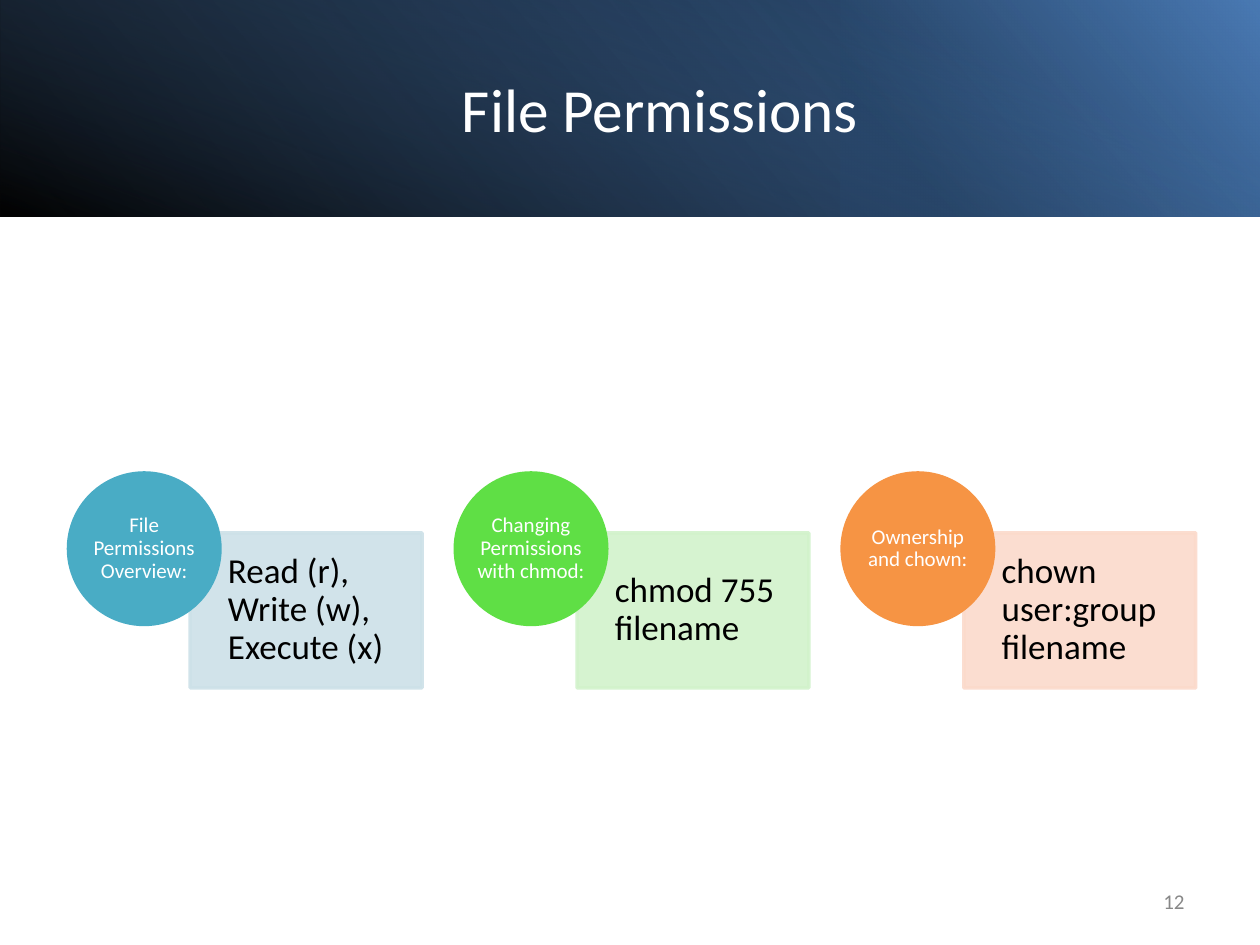
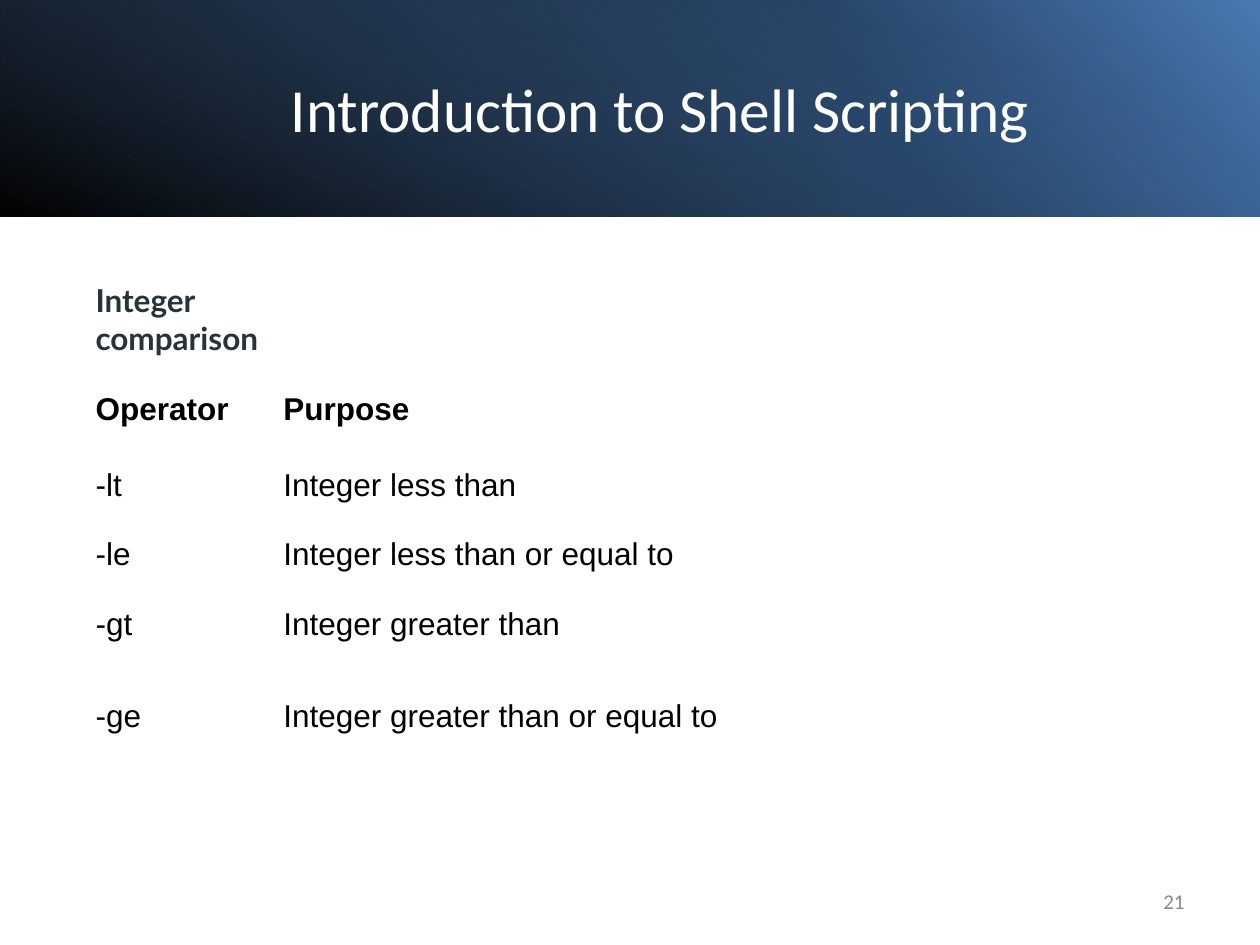
from lxml.etree import SubElement
from pptx import Presentation
from pptx.dml.color import RGBColor
from pptx.enum.shapes import MSO_SHAPE
from pptx.enum.text import MSO_ANCHOR, PP_ALIGN
from pptx.oxml.ns import qn
from pptx.util import Inches, Pt

# Shared colours
WHITE = RGBColor(0xFF, 0xFF, 0xFF)
BLACK = RGBColor(0x00, 0x00, 0x00)
GREY = RGBColor(0x88, 0x88, 0x88)
SLATE = RGBColor(0x27, 0x32, 0x39)
NAVY = RGBColor(0x24, 0x40, 0x61)
STEEL = RGBColor(0x36, 0x60, 0x92)
BLUE = RGBColor(0x4F, 0x81, 0xBD)
TEAL = RGBColor(0x49, 0xAC, 0xC5)
PALE_TEAL = RGBColor(0xCD, 0xE1, 0xE8)
GREEN = RGBColor(0x5F, 0xDF, 0x45)
PALE_GREEN = RGBColor(0xD2, 0xF2, 0xCB)
ORANGE = RGBColor(0xF6, 0x94, 0x44)
PALE_ORANGE = RGBColor(0xFB, 0xDA, 0xCB)

BODY_FONT = "Calibri"
BAND_HEIGHT = 1.72

# Band layers: box, rotation, mirrored, clockwise angle, stops (%, colour, opacity %)
BAND_LAYERS = [
    ((0, 0, 10, BAND_HEIGHT), 0, True, 220,
     [(0, BLACK, 96), (100, STEEL, 100)]),
    ((6.67, 0, 3.33, BAND_HEIGHT), 180, True, 40,
     [(0, NAVY, 68), (19, NAVY, 68), (100, BLUE, 79)]),
    ((4.14, -4.14, BAND_HEIGHT, 10), 90, False, 20,
     [(0, BLUE, 0), (23, BLUE, 0), (99, BLACK, 74), (100, BLACK, 74)]),
]

# Circle label, card text, circle colour, card colour
PERMISSION_TOPICS = [
    ("File Permissions Overview:", "Read (r), Write (w), Execute (x)", TEAL, PALE_TEAL),
    ("Changing Permissions with chmod:", "chmod 755 filename", GREEN, PALE_GREEN),
    ("Ownership and chown:", "chown user:group filename", ORANGE, PALE_ORANGE),
]

OPERATORS = [
    ("Operator", "Purpose"),
    ("-lt", "Integer less than"),
    ("-le", "Integer less than or equal to"),
    ("-gt", "Integer greater than"),
    ("-ge", "Integer greater than or equal to"),
]


def inches(box):
    return [Inches(length) for length in box]


def set_opacity(colour, percent):
    SubElement(colour, qn("a:alpha"), val=str(percent * 1000))


def write(frame, text, size, colour, align=PP_ALIGN.LEFT, anchor=MSO_ANCHOR.MIDDLE,
          font=BODY_FONT, bold=False, spacing=None):
    frame.word_wrap = True
    frame.vertical_anchor = anchor
    paragraph = frame.paragraphs[0]
    paragraph.text = text
    paragraph.alignment = align
    paragraph.line_spacing = spacing
    paragraph.font.name = font
    paragraph.font.size = Pt(size)
    paragraph.font.bold = bold
    paragraph.font.color.rgb = colour


def set_insets(frame, left, others):
    frame.margin_left = Inches(left)
    frame.margin_top = frame.margin_right = frame.margin_bottom = Inches(others)


def add_plain_shape(slide, preset, box):
    shape = slide.shapes.add_shape(preset, *inches(box))
    shape.shadow.inherit = False
    shape.line.fill.background()
    return shape


def add_label(slide, box, *args, **style):
    label = slide.shapes.add_textbox(*inches(box))
    write(label.text_frame, *args, **style)


def add_band_layer(slide, box, rotation, mirrored, angle, stops):
    layer = add_plain_shape(slide, MSO_SHAPE.RECTANGLE, box)
    layer.rotation = rotation
    properties = layer._element.spPr
    if mirrored:
        properties.find(qn("a:xfrm")).set("flipH", "1")
    layer.fill.gradient()
    gradient = properties.find(qn("a:gradFill"))
    gradient.set("rotWithShape", "1")
    for part in list(gradient):
        gradient.remove(part)
    stop_list = SubElement(gradient, qn("a:gsLst"))
    for position, colour, opacity in stops:
        stop = SubElement(stop_list, qn("a:gs"), pos=str(position * 1000))
        set_opacity(SubElement(stop, qn("a:srgbClr"), val=str(colour)), opacity)
    SubElement(gradient, qn("a:lin"), ang=str(angle * 60000), scaled="0")


def add_base_slide(deck, title, number):
    slide = deck.slides.add_slide(deck.slide_layouts[6])
    for layer in BAND_LAYERS:
        add_band_layer(slide, *layer)
    add_label(slide, (1.12, 0.38, 8.24, 0.96), title, 35, WHITE, align=PP_ALIGN.CENTER)
    add_label(slide, (7.17, 6.95, 2.33, 0.4), number, 12, GREY, align=PP_ALIGN.RIGHT)
    return slide


def add_topic(slide, left, heading, detail, circle_colour, card_colour):
    # Card with the detail, its text clear of the circle
    card = add_plain_shape(slide, MSO_SHAPE.RECTANGLE, (left + 0.98, 4.23, 1.84, 1.23))
    card.fill.solid()
    card.fill.fore_color.rgb = card_colour
    card.line.color.rgb = card_colour
    card.line.width = Pt(2)
    for colour in card._element.spPr.iter(qn("a:srgbClr")):
        set_opacity(colour, 90)
    set_insets(card.text_frame, 0.3, 0.16)
    write(card.text_frame, detail, 20, BLACK, spacing=0.9)

    # Circle with the heading
    circle = add_plain_shape(slide, MSO_SHAPE.OVAL, (left, 3.74, 1.23, 1.23))
    circle.fill.solid()
    circle.fill.fore_color.rgb = circle_colour
    set_insets(circle.text_frame, 0, 0)
    write(circle.text_frame, heading, 12, WHITE, align=PP_ALIGN.CENTER, spacing=0.9)


def add_operator_table(slide):
    table = slide.shapes.add_table(
        len(OPERATORS), 2, *inches((0.66, 3.03, 8.37, 3.11))).table
    table.first_row = table.horz_banding = False
    for column, width in zip(table.columns, (1.49, 6.88)):
        column.width = Inches(width)
    for index, texts in enumerate(OPERATORS):
        is_header = index == 0
        is_last = index == len(OPERATORS) - 1
        table.rows[index].height = Inches(0.91 if is_last else 0.55)
        for cell, text in zip(table.rows[index].cells, texts):
            cell.fill.solid()
            cell.fill.fore_color.rgb = WHITE
            cell.margin_top = cell.margin_bottom = Inches(0.08)
            cell.vertical_anchor = MSO_ANCHOR.TOP if is_header else MSO_ANCHOR.MIDDLE
            paragraph = cell.text_frame.paragraphs[0]
            paragraph.text = text
            paragraph.font.name = "Arial"
            paragraph.font.size = Pt(18)
            paragraph.font.bold = is_header
            paragraph.font.color.rgb = BLACK


def main():
    deck = Presentation()
    deck.slide_width, deck.slide_height = Inches(10), Inches(7.5)

    # File permissions
    permissions = add_base_slide(deck, "File Permissions", "12")
    for index, topic in enumerate(PERMISSION_TOPICS):
        add_topic(permissions, 0.53 + 3.07 * index, *topic)

    # Integer comparison operators
    scripting = add_base_slide(deck, "Introduction to Shell Scripting", "21")
    add_operator_table(scripting)
    add_label(scripting, (0.66, 2.18, 2.29, 0.4), "Integer comparison", 18, SLATE,
              anchor=MSO_ANCHOR.TOP, font="Lato", bold=True)

    deck.save("out.pptx")


if __name__ == "__main__":
    main()
